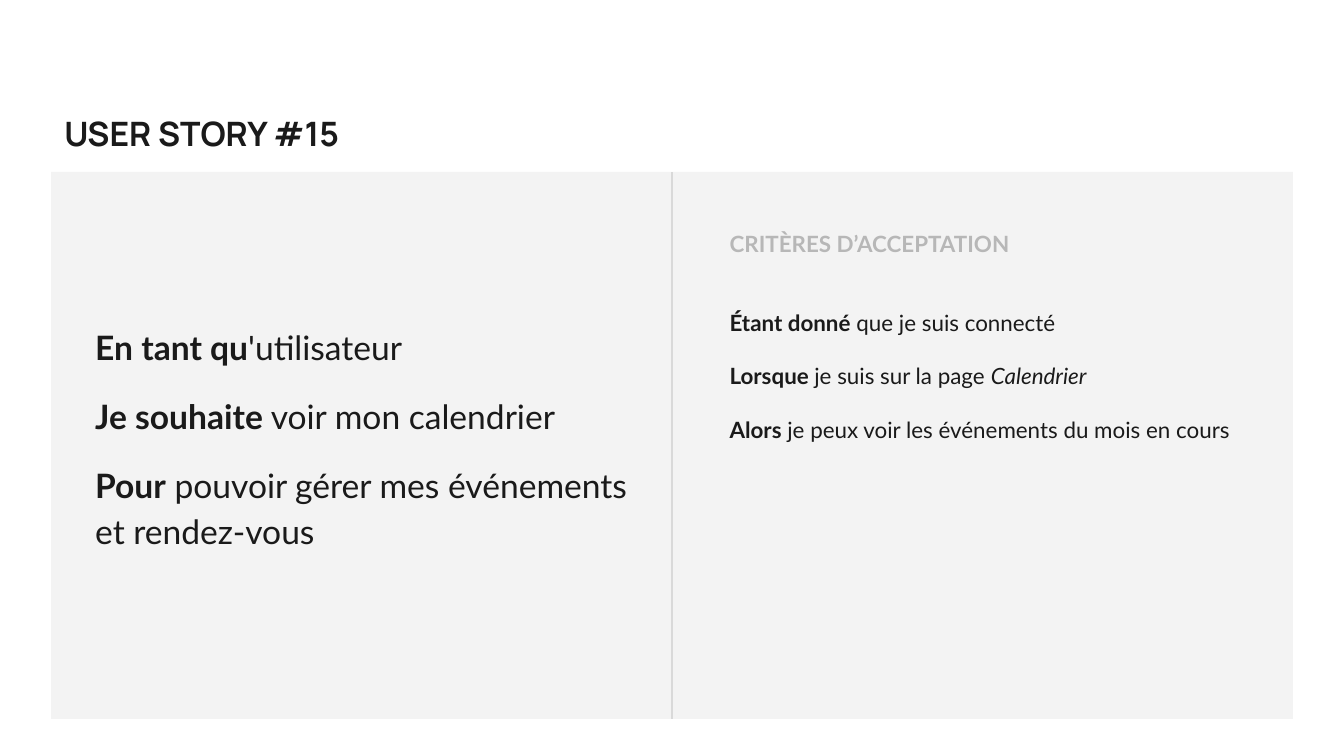
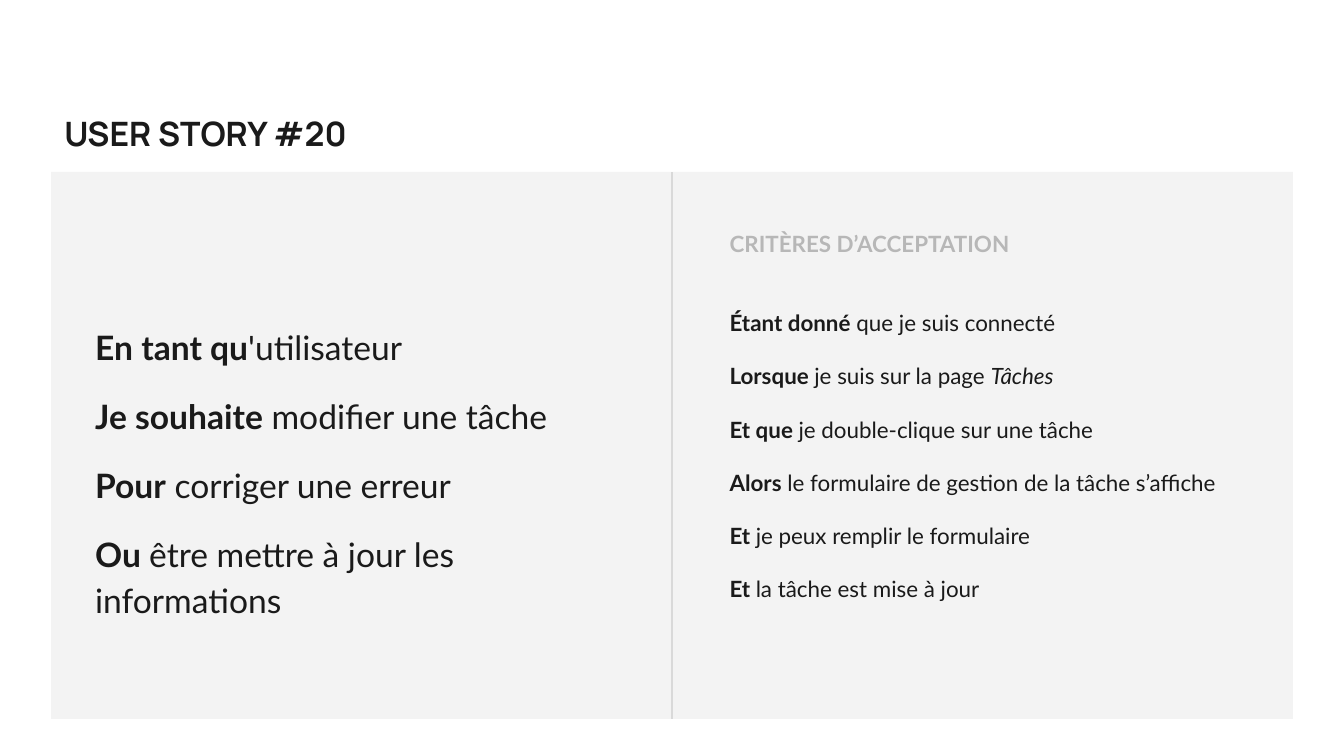
from lxml.etree import SubElement
from pptx import Presentation
from pptx.dml.color import RGBColor
from pptx.enum.shapes import MSO_CONNECTOR, MSO_SHAPE
from pptx.enum.text import MSO_ANCHOR, MSO_AUTO_SIZE, PP_ALIGN
from pptx.oxml.ns import qn
from pptx.util import Inches, Pt

# A sentence is a list of (text, style) spans; style is "b", "i" or "".
USER = [("En tant qu", "b"), ("'utilisateur", "")]
CONNECTED = [("Étant donné", "b"), (" que je suis connecté", "")]
ON_PAGE = [("Lorsque ", "b"), ("je suis sur la page ", "")]
CRITERIA_HEADING = "CRITÈRES D’ACCEPTATION"

STORIES = [
    {
        "title": "USER STORY #15",
        "story": [
            USER,
            [("Je souhaite", "b"), (" voir mon calendrier", "")],
            [("Pour", "b"), (" pouvoir gérer mes événements et rendez-vous", "")],
        ],
        "criteria": [
            CONNECTED,
            ON_PAGE + [("Calendrier", "i")],
            [("Alors", "b"), (" je peux voir les événements du mois en cours", "")],
        ],
    },
    {
        "title": "USER STORY #20",
        "story": [
            USER,
            [("Je souhaite", "b"), (" modifier une tâche", "")],
            [("Pour", "b"), (" corriger une erreur", "")],
            [("Ou ", "b"), ("être mettre à jour les informations", "")],
        ],
        "criteria": [
            CONNECTED,
            ON_PAGE + [("Tâches", "i")],
            [("Et que ", "b"), ("je double-clique sur une tâche", "")],
            [("Alors", "b"), (" le formulaire de gestion de la tâche s’affiche", "")],
            [("Et ", "b"), ("je peux remplir le formulaire", "")],
            [("Et ", "b"), ("la tâche est mise à jour", "")],
        ],
    },
]

WHITE = RGBColor(0xFF, 0xFF, 0xFF)
INK = RGBColor(0x1A, 0x1A, 0x1A)
PANEL_GREY = RGBColor(0xF3, 0xF3, 0xF3)
DIVIDER_GREY = RGBColor(0xD9, 0xD9, 0xD9)
HEADING_GREY = RGBColor(0xB7, 0xB7, 0xB7)
TITLE_FONT, TEXT_FONT = "Manrope", "Lato"

# Inches
WIDTH, HEIGHT = 10, 10 * 9 / 16
MARGIN = 0.38
PANEL_TOP, PANEL_HEIGHT = 1.28, 4.07
TITLE_HEIGHT = 0.54
CRITERIA_LEFT = WIDTH / 2 + 0.33
INSET = 0.1

TITLE_AREA = (MARGIN, PANEL_TOP - TITLE_HEIGHT, 2.72, TITLE_HEIGHT)
STORY_AREA = (0.61, 2.29, 4.19, 2.05)
HEADING_AREA = (CRITERIA_LEFT, 1.61, 3.28, 0.4)
CRITERIA_AREA = (CRITERIA_LEFT, 2.17, 3.98, 2.87)


def add_text(page, area, sentences, size, font=TEXT_FONT, color=INK, spacing=1.0):
    box = page.shapes.add_textbox(*map(Inches, area))
    frame = box.text_frame
    frame.word_wrap = True
    frame.auto_size = MSO_AUTO_SIZE.NONE
    frame.vertical_anchor = MSO_ANCHOR.TOP
    frame.margin_left = frame.margin_right = Inches(INSET)
    frame.margin_top = frame.margin_bottom = Inches(INSET)
    for index, sentence in enumerate(sentences):
        para = frame.add_paragraph() if index else frame.paragraphs[0]
        para.alignment = PP_ALIGN.LEFT
        para.line_spacing = spacing
        if index:
            para.space_before = Pt(12)
        for text, style in sentence:
            span = para.add_run()
            span.text = text
            span.font.name = font
            span.font.size = Pt(size)
            span.font.color.rgb = color
            span.font.bold = style == "b"
            span.font.italic = style == "i"
    return box


def add_panel(page):
    panel = page.shapes.add_shape(
        MSO_SHAPE.RECTANGLE,
        Inches(MARGIN), Inches(PANEL_TOP),
        Inches(WIDTH - 2 * MARGIN), Inches(PANEL_HEIGHT))
    panel.shadow.inherit = False
    panel.fill.solid()
    panel.fill.fore_color.rgb = PANEL_GREY
    panel.line.fill.background()
    return panel


def add_divider(page, panel):
    """Split the panel with a line from its top middle to its bottom middle."""
    divider = page.shapes.add_connector(MSO_CONNECTOR.STRAIGHT, 0, 0, 0, 0)
    divider.begin_connect(panel, 0)
    divider.end_connect(panel, 2)
    divider.line.color.rgb = DIVIDER_GREY
    divider.line.width = Pt(0.75)
    SubElement(divider._element.spPr, qn("a:effectLst"))


def add_story_page(deck, content):
    page = deck.slides.add_slide(deck.slide_layouts[6])
    page.background.fill.solid()
    page.background.fill.fore_color.rgb = WHITE
    panel = add_panel(page)
    add_text(page, TITLE_AREA, [[(content["title"], "b")]], 18, font=TITLE_FONT)
    add_text(page, STORY_AREA, content["story"], 18, spacing=1.15)
    add_text(page, CRITERIA_AREA, content["criteria"], 12, spacing=1.15)
    add_divider(page, panel)
    heading = add_text(page, HEADING_AREA, [[(CRITERIA_HEADING, "b")]], 12,
                       color=HEADING_GREY)
    heading.text_frame.auto_size = MSO_AUTO_SIZE.SHAPE_TO_FIT_TEXT


def main():
    deck = Presentation()
    deck.slide_width, deck.slide_height = Inches(WIDTH), Inches(HEIGHT)
    for content in STORIES:
        add_story_page(deck, content)
    deck.save("out.pptx")


if __name__ == "__main__":
    main()
